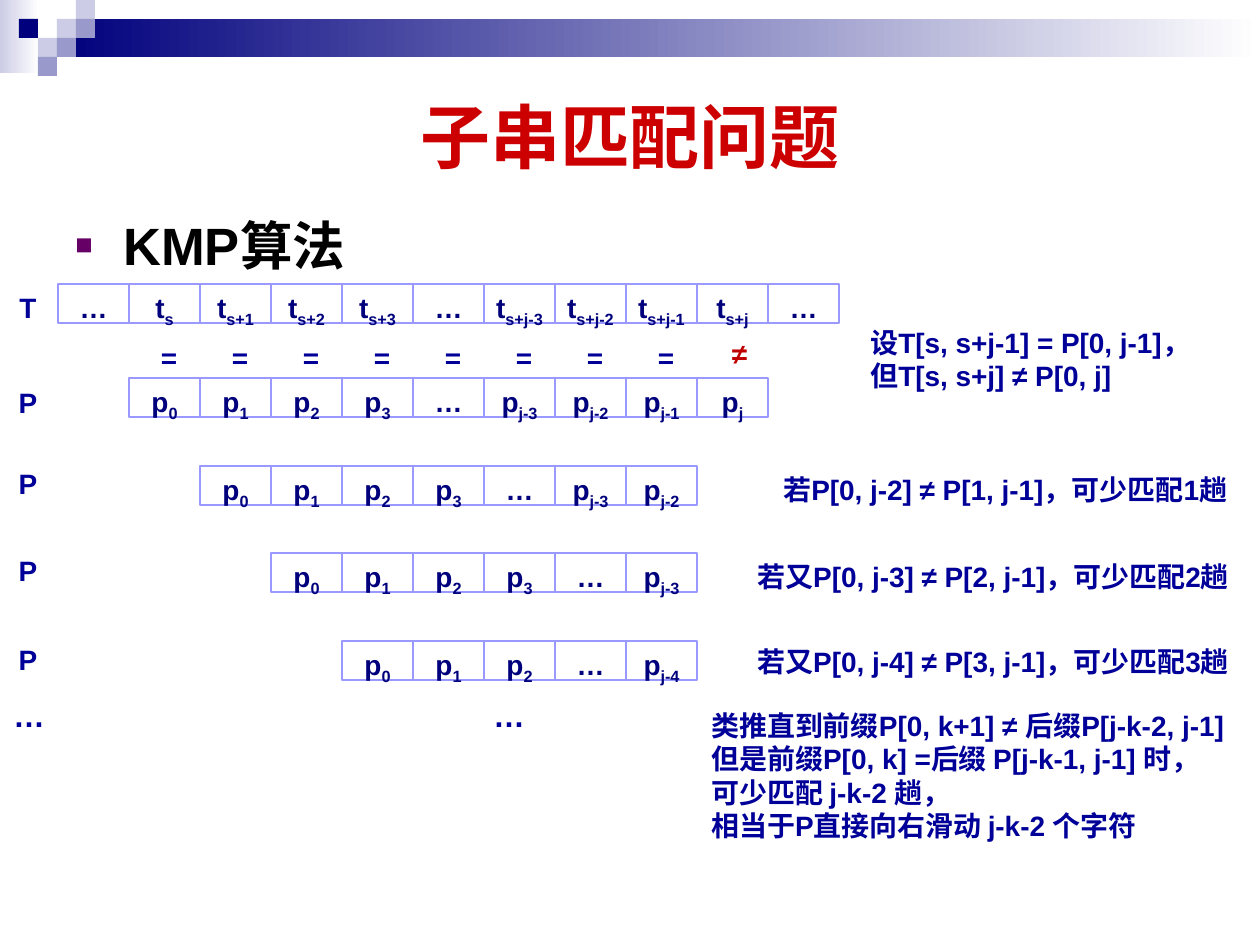
from dataclasses import dataclass

from lxml.etree import SubElement
from pptx import Presentation
from pptx.dml.color import RGBColor
from pptx.enum.shapes import MSO_SHAPE
from pptx.enum.text import MSO_ANCHOR, MSO_AUTO_SIZE, PP_ALIGN
from pptx.oxml.ns import qn
from pptx.util import Emu, Pt


@dataclass(frozen=True)
class Theme:
    """Colours, type sizes and font of the slide."""
    font: str = "Arial"
    navy: str = "00007D"
    blue: str = "000099"
    edge: str = "9999FF"
    violet: str = "9999CC"
    pale: str = "CCCCE6"
    white: str = "FFFFFF"
    black: str = "000000"
    red: str = "CC0000"
    dark_red: str = "C00000"
    bullet: str = "660066"
    title: int = 40
    heading: int = 30
    dots: int = 18
    body: int = 16


THEME = Theme()
EMU_PER_PX = 914400 / 126
CELL_W, CELL_H = 71, 39
GRID_LEFT = 58
TILE = 19

ROWS = [
    (0, 284, "… t_s t_s+1 t_s+2 t_s+3 … t_s+j-3 t_s+j-2 t_s+j-1 t_s+j …"),
    (1, 378, "p_0 p_1 p_2 p_3 … p_j-3 p_j-2 p_j-1 p_j"),
    (2, 466, "p_0 p_1 p_2 p_3 … p_j-3 p_j-2"),
    (3, 553, "p_0 p_1 p_2 p_3 … p_j-3"),
    (4, 641, "p_0 p_1 p_2 … p_j-4"),
]
ROW_LABELS = [("T", 284), ("P", 379), ("P", 460), ("P", 547), ("P", 636)]
NOTES = [
    ((858, 319, 350, 81), ["设T[s, s+j-1] = P[0, j-1]，", "但T[s, s+j] ≠ P[0, j]"]),
    ((771, 466, 476, 47), ["若P[0, j-2] ≠ P[1, j-1]，可少匹配1趟"]),
    ((745, 553, 505, 47), ["若又P[0, j-3] ≠ P[2, j-1]，可少匹配2趟"]),
    ((745, 638, 505, 47), ["若又P[0, j-4] ≠ P[3, j-1]，可少匹配3趟"]),
    ((699, 702, 547, 147), [
        "类推直到前缀P[0, k+1] ≠ 后缀P[j-k-2, j-1]",
        "但是前缀P[0, k] =后缀 P[j-k-1, j-1] 时，",
        "可少匹配 j-k-2 趟，",
        "相当于P直接向右滑动 j-k-2 个字符",
    ]),
]
TILES = [
    (3, 1, THEME.pale), (4, 0, THEME.pale), (4, 1, THEME.violet),
    (2, 2, THEME.pale), (1, 1, THEME.navy), (3, 2, THEME.violet),
    (2, 3, THEME.violet),
]


def px(*lengths):
    """Turn px lengths into EMU."""
    return [Emu(round(length * EMU_PER_PX)) for length in lengths]


def rgb(code):
    """Turn a hex code into a colour."""
    return RGBColor.from_string(code)


def add_span(para, text, size, colour, baseline=0):
    """Append a bold run to a paragraph."""
    span = para.add_run()
    span.text = text
    for name, value in {"name": THEME.font, "size": Pt(size), "bold": True}.items():
        setattr(span.font, name, value)
    span.font.color.rgb = rgb(colour)
    if baseline:
        span.font._element.set("baseline", str(baseline))


def add_text(page, place, lines, size=THEME.body, colour=THEME.blue,
             align=PP_ALIGN.LEFT, wrap=False, fit=MSO_AUTO_SIZE.SHAPE_TO_FIT_TEXT):
    """Add a text box with one paragraph a line."""
    frame = page.shapes.add_textbox(*px(*place)).text_frame
    for name, value in {"word_wrap": wrap, "auto_size": fit}.items():
        setattr(frame, name, value)
    for index, line in enumerate(lines):
        para = frame.add_paragraph() if index else frame.paragraphs[0]
        para.alignment = align
        add_span(para, line, size, colour)
    return frame


def add_rectangle(page, place):
    """Add a rectangle without a shadow or line."""
    box = page.shapes.add_shape(MSO_SHAPE.RECTANGLE, *px(*place))
    box.shadow.inherit = False
    box.line.fill.background()
    return box


def add_tile(page, column, row, colour):
    """Add one plain square of the header pattern."""
    box = add_rectangle(page, (column * TILE, row * TILE, TILE, TILE))
    box.fill.solid()
    box.fill.fore_color.rgb = rgb(colour)


def add_gradient(page, place, colour):
    """Add a band that fades to white on the right."""
    fill = add_rectangle(page, place).fill
    fill.gradient()
    fill.gradient_angle = 0
    for position, (stop, code) in enumerate(zip(fill.gradient_stops, (colour, THEME.white))):
        stop.position = position
        stop.color.rgb = rgb(code)


def add_cell(page, column, top, label):
    """Add one string cell with an optional subscript."""
    box = add_rectangle(page, (GRID_LEFT + column * CELL_W, top, CELL_W, CELL_H))
    box.fill.background()
    box.line.color.rgb = rgb(THEME.edge)
    box.line.width = Pt(0.75)
    frame = box.text_frame
    for name, value in {"word_wrap": False, "vertical_anchor": MSO_ANCHOR.TOP}.items():
        setattr(frame, name, value)
    para = frame.paragraphs[0]
    para.alignment = PP_ALIGN.CENTER
    base, _, subscript = label.partition("_")
    add_span(para, base, THEME.body, THEME.navy)
    if subscript:
        add_span(para, subscript, THEME.body, THEME.navy, -25000)


def add_header(page):
    """Draw the bands and squares along the top."""
    add_gradient(page, (0, 0, 39, 73), THEME.pale)
    add_gradient(page, (57, 19, 1203, 38), THEME.navy)
    for tile in TILES:
        add_tile(page, *tile)


def set_title(page, text):
    """Place and format the title."""
    title = page.shapes.title
    for name, value in zip(("left", "top", "width", "height"), px(63, 63, 1134, 146)):
        setattr(title, name, value)
    title.text_frame.vertical_anchor = MSO_ANCHOR.MIDDLE
    para = title.text_frame.paragraphs[0]
    para.alignment = PP_ALIGN.CENTER
    add_span(para, text, THEME.title, THEME.red)


def add_heading(page, text):
    """Add the bulleted heading."""
    frame = add_text(page, (63, 204, 1134, 655), [text], THEME.heading, THEME.black,
                     wrap=True, fit=MSO_AUTO_SIZE.NONE)
    para = frame.paragraphs[0]
    para.line_spacing = 1.05
    para.space_before = Pt(4.5)
    properties = para._p.get_or_add_pPr()
    indent = px(48)[0]
    properties.set("marL", str(indent))
    properties.set("indent", str(-indent))
    colour = SubElement(properties, qn("a:buClr"))
    SubElement(colour, qn("a:srgbClr"), val=THEME.bullet)
    SubElement(properties, qn("a:buSzPct"), val="55000")
    SubElement(properties, qn("a:buFont"), typeface=THEME.font)
    SubElement(properties, qn("a:buChar"), char="■")


def add_strings(page):
    """Draw the text, the shifted patterns and the comparison signs."""
    for start, top, labels in ROWS:
        for column, label in enumerate(labels.split(), start):
            add_cell(page, column, top, label)
    for label, top in ROW_LABELS:
        add_text(page, (5, top, 46, 49), [label], align=PP_ALIGN.CENTER)
    for column in range(8):
        add_text(page, (147 + column * CELL_W, 334, 44, 49), ["="], align=PP_ALIGN.CENTER)
    add_text(page, (718, 330, 43, 50), ["≠"], colour=THEME.dark_red, align=PP_ALIGN.CENTER)
    for left in (1, 481):
        add_text(page, (left, 690, 57, 50), ["…"], THEME.dots)


def main():
    """Build and save the slide."""
    deck = Presentation()
    deck.slide_width, deck.slide_height = px(1260, 945)
    page = deck.slides.add_slide(deck.slide_layouts[5])
    add_header(page)
    set_title(page, "子串匹配问题")
    add_heading(page, "KMP算法")
    add_strings(page)
    for place, lines in NOTES:
        add_text(page, place, lines, wrap=True)
    deck.save("out.pptx")


if __name__ == "__main__":
    main()
